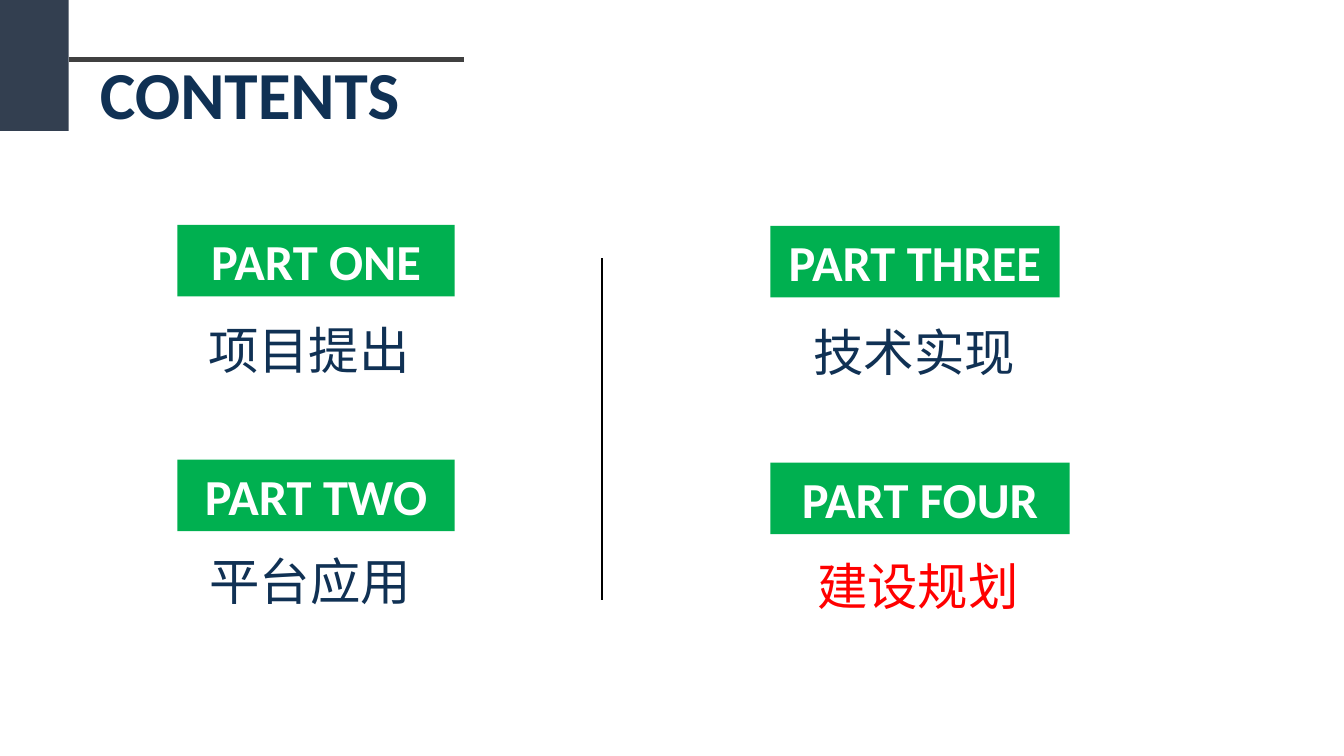
from lxml.etree import SubElement
from pptx import Presentation
from pptx.dml.color import RGBColor
from pptx.enum.shapes import MSO_CONNECTOR, MSO_SHAPE
from pptx.enum.text import MSO_ANCHOR as ANCHOR, MSO_AUTO_SIZE as AUTO, PP_ALIGN as ALIGN
from pptx.oxml.ns import qn
from pptx.util import Inches, Pt


def rgb(value):
    """Turn a hex string into a colour."""
    return RGBColor.from_string(value)


class ContentsSlide:
    """Holds the style and the current slide."""

    LATIN, HAN = "Calibri", "Noto Sans CJK SC"
    NAVY, GREEN, RED, WHITE = "103154", "00B050", "FF0000", "FFFFFF"
    SLATE, GREY, BLACK = "333F50", "404040", "000000"

    def __init__(self, prs):
        """Add a slide with a title placeholder."""
        self.slide = prs.slides.add_slide(prs.slide_layouts[5])
        self.shapes = self.slide.shapes

    def label(self, sp, text, size, font, color, bold=False, align=ALIGN.CENTER):
        """Set and format one line of text in a shape."""
        tf = sp.text_frame
        tf.text = text
        p = tf.paragraphs[0]
        p.alignment = align
        r = p.runs[0]
        r.font.size, r.font.bold, r.font.name = Pt(size), bold, font
        r.font.color.rgb = rgb(color)
        SubElement(r.font._element, qn("a:ea"), typeface=font)
        return tf

    def title(self, text, left, top, width, height):
        """Place the title."""
        sp = self.shapes.title
        sp.left, sp.top = Inches(left), Inches(top)
        sp.width, sp.height = Inches(width), Inches(height)
        tf = self.label(sp, text, 48, self.LATIN, self.NAVY, True, ALIGN.LEFT)
        tf.word_wrap, tf.auto_size = False, AUTO.NONE
        tf.vertical_anchor = ANCHOR.TOP

    def block(self, left, top, width, height, color):
        """Draw a plain filled rectangle."""
        sp = self.shapes.add_shape(MSO_SHAPE.RECTANGLE, Inches(left), Inches(top),
                                   Inches(width), Inches(height))
        sp.shadow.inherit = False
        sp.fill.solid()
        sp.fill.fore_color.rgb = rgb(color)
        sp.line.fill.background()
        return sp

    def badge(self, text, left, top, width):
        """Draw a green part label."""
        sp = self.block(left, top, width, 0.71, self.GREEN)
        self.label(sp, text, 36, self.LATIN, self.WHITE, True)

    def caption(self, text, left, top, width, height, color):
        """Add the name of a part."""
        sp = self.shapes.add_textbox(Inches(left), Inches(top), Inches(width), Inches(height))
        tf = self.label(sp, text, 36, self.HAN, color)
        tf.word_wrap, tf.auto_size = True, AUTO.SHAPE_TO_FIT_TEXT
        tf.paragraphs[0].line_spacing = 1.3

    def line(self, x1, y1, x2, y2, color, weight):
        """Draw a straight line."""
        sp = self.shapes.add_connector(MSO_CONNECTOR.STRAIGHT, Inches(x1), Inches(y1),
                                       Inches(x2), Inches(y2))
        sp.line.color.rgb = rgb(color)
        sp.line.width = Pt(weight)
        SubElement(sp._element.spPr, qn("a:effectLst"))


def main():
    """Build the contents slide."""
    prs = Presentation()
    prs.slide_width, prs.slide_height = Inches(13.33), Inches(7.5)
    s = ContentsSlide(prs)
    s.title("CONTENTS", 0.89, 0.47, 3.21, 0.91)

    parts = [
        ("PART ONE", (1.76, 2.23, 2.75), "项目提出", (1.65, 2.94, 2.83, 0.81), s.NAVY),
        ("PART TWO", (1.76, 4.56, 2.75), "平台应用", (1.65, 5.23, 2.85, 0.89), s.NAVY),
        ("PART THREE", (7.64, 2.24, 2.87), "技术实现", (7.62, 2.96, 2.89, 0.89), s.NAVY),
        ("PART FOUR", (7.64, 4.59, 2.97), "建设规划", (7.62, 5.28, 2.97, 0.81), s.RED),
    ]
    for part, part_box, name, name_box, color in parts:
        s.badge(part, *part_box)
        s.caption(name, *name_box, color)

    s.line(5.97, 2.56, 5.97, 5.95, s.BLACK, 1)
    s.block(0, 0, 0.68, 1.3, s.SLATE)
    s.line(0.68, 0.59, 4.6, 0.59, s.GREY, 3)
    prs.save("out.pptx")


if __name__ == "__main__":
    main()
